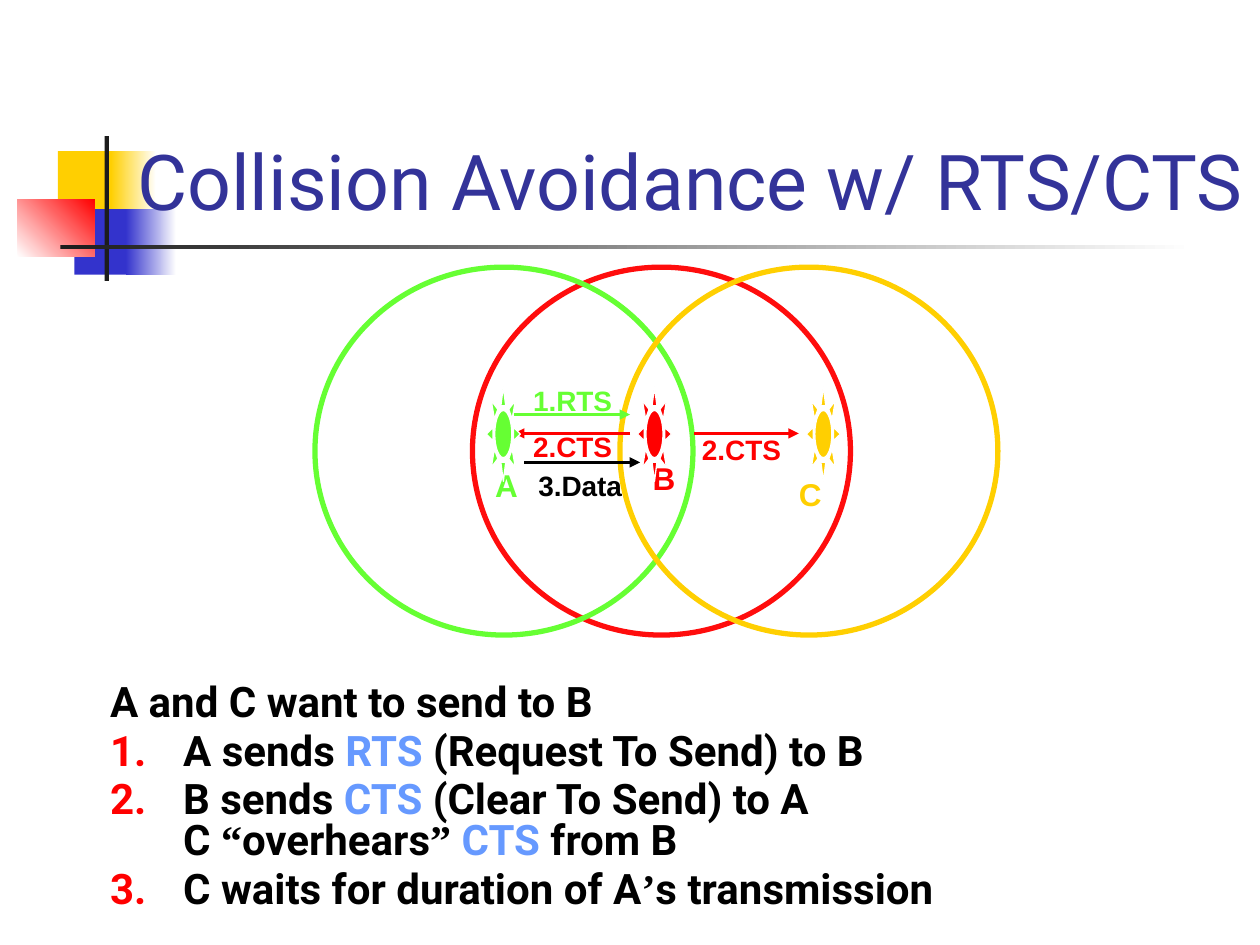
from lxml import etree
from pptx import Presentation, util as u
from pptx.dml.color import RGBColor
from pptx.enum import shapes, text
from pptx.oxml.ns import qn

THEME = {
    "green": "66FF33", "red": "FF0000", "ring_red": "FF0D0D", "yellow": "FFCF01",
    "blue": "3333CC", "title": "333399", "term": "6699FF",
    "dark": "1C1C1C", "black": "000000", "white": "FFFFFF",
    "title_pt": 44, "body_pt": 24, "name_pt": 18, "label_pt": 16,
    "heading_font": "Roboto", "label_font": "Arial", "quote_font": "Times New Roman",
}
COLS, ROWS = 100, 75
CELL = u.Inches(10) // COLS


def grid(*cells):
    return [round(c * CELL) for c in cells]


def color(name):
    return RGBColor.from_string(THEME[name])


def apply(obj, formats):
    for key, value in formats.items():
        setattr(obj, key, value)


def add_figure(s, kind, cells, fill=None, fade=None, angle=0, line=None, width=0.75):
    sp = s.shapes.add_shape(kind, *grid(*cells))
    sp.shadow.inherit = False
    if fade:
        sp.fill.gradient()
        sp.fill.gradient_angle = angle
        for stop, name, pos in zip(sp.fill.gradient_stops, (fill, fade), (0, 1)):
            stop.color.rgb = color(name)
            stop.position = pos
    elif fill:
        sp.fill.solid()
        sp.fill.fore_color.rgb = color(fill)
    else:
        sp.fill.background()
    if line:
        sp.line.color.rgb = color(line)
        sp.line.width = u.Pt(width)
    else:
        sp.line.fill.background()


def add_run(p, words, font, size, name, bold=True):
    r = p.add_run()
    r.text = words
    apply(r.font, {"name": font, "size": u.Pt(size), "bold": bold})
    r.font.color.rgb = color(name)


def add_frame(s, cells, **formats):
    tf = s.shapes.add_textbox(*grid(*cells)).text_frame
    apply(tf, {"word_wrap": False, **formats})
    return tf


def add_label(s, words, cells, name, size):
    tf = add_frame(s, cells, vertical_anchor=text.MSO_ANCHOR.MIDDLE,
                   margin_left=0, margin_right=0)
    p = tf.paragraphs[0]
    p.alignment = text.PP_ALIGN.CENTER
    add_run(p, words, THEME["label_font"], size, name)


def add_arrow(s, start, end, row, name):
    c = s.shapes.add_connector(shapes.MSO_CONNECTOR.STRAIGHT, *grid(start, row, end, row))
    c.line.color.rgb = color(name)
    c.line.width = u.Pt(1.5)
    etree.SubElement(c.line._get_or_add_ln(), qn("a:tailEnd"), type="triangle")
    etree.SubElement(c._element.spPr, qn("a:effectLst"))


def add_number(p):
    pPr = p._p.get_or_add_pPr()
    clr = etree.SubElement(pPr, qn("a:buClr"))
    etree.SubElement(clr, qn("a:srgbClr"), val=THEME["red"])
    etree.SubElement(pPr, qn("a:buAutoNum"), type="arabicPeriod")


def add_steps(s, cells, steps):
    tf = add_frame(s, cells, word_wrap=True)
    for i, parts in enumerate(steps):
        p = tf.add_paragraph() if i else tf.paragraphs[0]
        p._p.get_or_add_pPr().set("marL", str(u.Inches(1.08)))
        p._p.get_or_add_pPr().set("indent", str(u.Inches(-0.58)))
        apply(p, {"line_spacing": 0.8 if i else 1.0, "space_before": u.Pt(4.8 if i else 0)})
        if i:
            add_number(p)
        for part in parts:
            if part == "\n":
                p.add_line_break()
                continue
            font = "quote_font" if part.strip() in "“”’" else "heading_font"
            name = "term" if part in ("RTS", "CTS") else "black"
            add_run(p, part, THEME[font], THEME["body_pt"], name)


def add_decoration(s):
    for cells, formats in (
        ((4.6, 12, 4.8, 5.2), {"fill": "yellow"}),
        ((8.8, 12, 3.6, 5.2), {"fill": "yellow", "fade": "white"}),
        ((5.9, 16.6, 4.6, 5.2), {"fill": "blue"}),
        ((10, 16.6, 4, 5.2), {"fill": "blue", "fade": "white"}),
        ((1.4, 15.8, 6.1, 4.6), {"fill": "white", "fade": "red", "angle": 45}),
        ((8.3, 10.8, 0.35, 11.5), {"fill": "dark"}),
        ((4.8, 19.45, 90, 0.35), {"fill": "dark", "fade": "white"}),
    ):
        add_figure(s, shapes.MSO_SHAPE.RECTANGLE, cells, **formats)


def add_title(s, words):
    tf = add_frame(s, (9.9, 2.4, 90.1, 16), vertical_anchor=text.MSO_ANCHOR.BOTTOM)
    add_run(tf.paragraphs[0], words, THEME["heading_font"], THEME["title_pt"], "title", False)


def add_network(s):
    for left, name in ((37.5, "ring_red"), (25, "green"), (49.2, "yellow")):
        add_figure(s, shapes.MSO_SHAPE.OVAL, (left, 21.2, 30, 29.2), line=name, width=3)
    stations = (("A", 38.3, 36.5, 38.6, "green"), ("B", 50.8, 35.9, 50.6, "red"),
                ("C", 62.4, 37.2, 64, "yellow"))
    for words, left, top, _, name in stations:
        add_label(s, words, (left, top, 3.8, 4), name, THEME["name_pt"])
    for start, end, row, words, left, top, width, name in (
        (40.8, 50, 32.9, "1.RTS", 41.3, 29.9, 8.3, "green"),
        (55.1, 63.4, 34.4, "2.CTS", 54.7, 33.8, 8.3, "red"),
        (50, 40.8, 34.4, "2.CTS", 41.3, 33.6, 8.3, "red"),
        (41.6, 50.8, 36.7, "3.Data", 41.7, 36.7, 8.7, "black"),
    ):
        add_arrow(s, start, end, row, name)
        add_label(s, words, (left, top, width, 3.7), name, THEME["label_pt"])
    for _, _, _, left, name in stations:
        add_figure(s, shapes.MSO_SHAPE.SUN, (left, 30.7, 2.7, 7.5), fill=name, line="white")


def main():
    prs = Presentation()
    apply(prs, {"slide_width": COLS * CELL, "slide_height": ROWS * CELL})
    s = prs.slides.add_slide(prs.slide_layouts[6])
    add_decoration(s)
    add_title(s, "Collision Avoidance w/ RTS/CTS")
    add_steps(s, (2.75, 53.1, 97.25, 20.5), (
        ("A and C want to send to B",),
        ("A sends ", "RTS", " (Request To Send) to B"),
        ("B sends ", "CTS", " (Clear To Send) to A", "\n",
         "C ", "“", "overhears", "” ", "CTS", " from B"),
        ("C waits for duration of A", "’", "s transmission"),
    ))
    add_network(s)
    prs.save("out.pptx")


if __name__ == "__main__":
    main()
